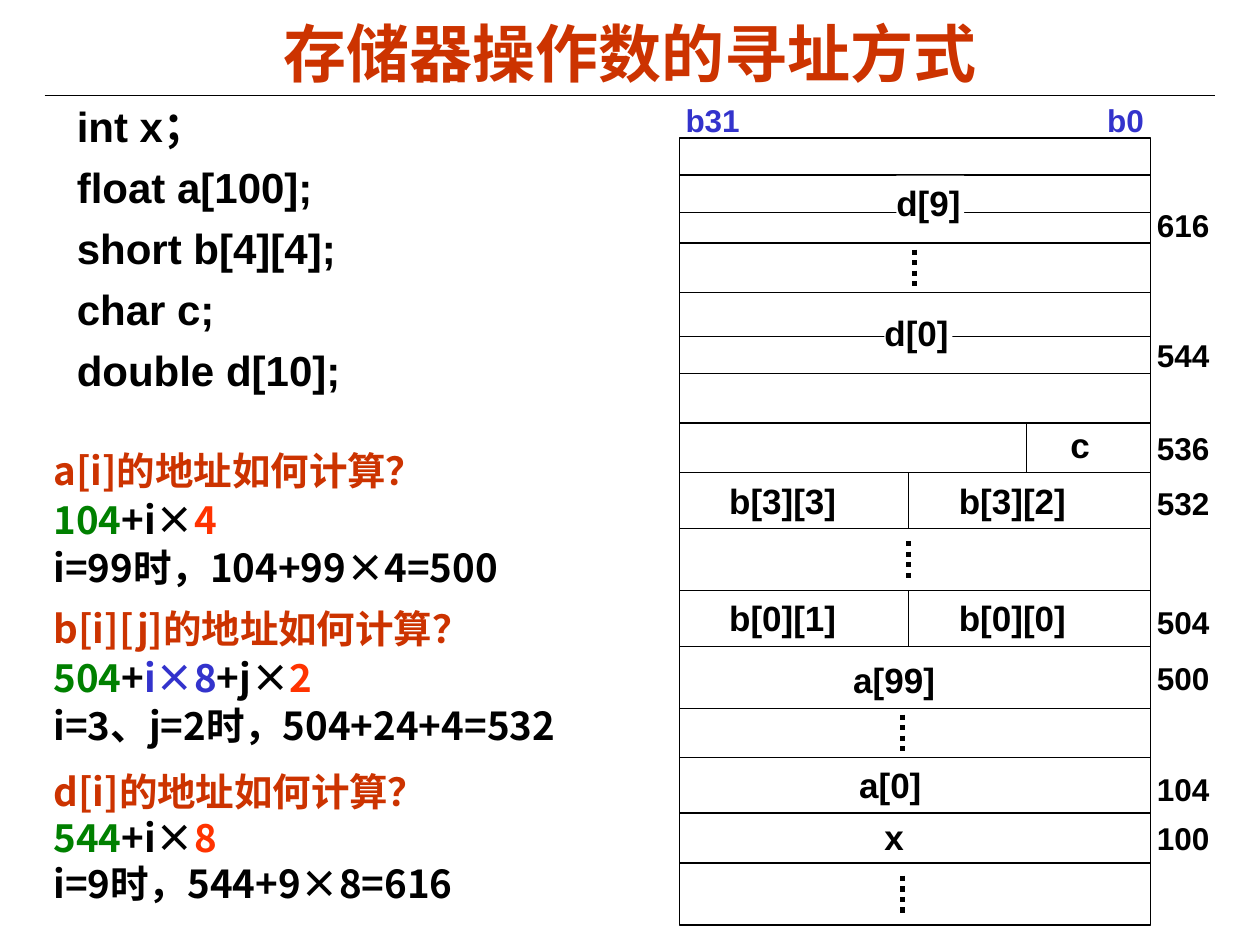
import pptx
import pptx.util
import pptx.dml.color
import pptx.enum.dml
import pptx.enum.shapes
import pptx.enum.text
import pptx.oxml.ns
from lxml import etree

Cm = pptx.util.Cm
Pt = pptx.util.Pt
RGB = pptx.dml.color.RGBColor
MID = pptx.enum.text.MSO_ANCHOR.MIDDLE
TOP = pptx.enum.text.MSO_ANCHOR.TOP
CENTER = pptx.enum.text.PP_ALIGN.CENTER
LEFT = pptx.enum.text.PP_ALIGN.LEFT
RECT = pptx.enum.shapes.MSO_SHAPE.RECTANGLE
LINE = pptx.enum.shapes.MSO_CONNECTOR.STRAIGHT
DOTS = pptx.enum.dml.MSO_LINE.ROUND_DOT

BLACK = RGB(0x00, 0x00, 0x00)
WHITE = RGB(0xFF, 0xFF, 0xFF)
RUST = RGB(0xCC, 0x33, 0x00)
GREEN = RGB(0x00, 0x80, 0x00)
RED = RGB(0xFF, 0x33, 0x00)
BLUE = RGB(0x33, 0x33, 0xCC)
ARIAL = "Arial"
NOTO = "Noto Sans CJK SC"

# Content: each paragraph is (space before, [(text, colour), ...])
TITLE = [(0, [("存储器操作数的寻址方式", RUST)])]
DECLS = ["int x；", "float a[100];", "short b[4][4];", "char c;", "double d[10];"]
SUMS = [
    (0, [("a[i]的地址如何计算？", RUST)]),
    (1.4, [("104", GREEN), ("+i×", BLACK), ("4", RED)]),
    (1.4, [("i=99时，104+99×4=500", BLACK)]),
    (8.2, [("b[i][j]的地址如何计算？", RUST)]),
    (1.4, [("504", GREEN), ("+", BLACK), ("i×8", BLUE), ("+j×", BLACK), ("2", RED)]),
    (1.4, [("i=3、j=2时，504+24+4=532", BLACK)]),
    (11, [("d[i]的地址如何计算？", RUST)]),
    (0, [("544", GREEN), ("+i×", BLACK), ("8", RED)]),
    (0, [("i=9时，544+9×8=616", BLACK)]),
]

# Memory map, in cm: row borders from top to bottom
ROWS = [2.78, 3.53, 4.28, 4.9, 5.9, 6.78, 7.53, 8.53, 9.53,
        10.65, 11.91, 13.03, 14.28, 15.27, 16.39, 17.4, 18.65]
WEST, EAST, HALF, BYTE = 13.7, 23.19, 18.32, 20.7
SPLITS = [(7, BYTE), (8, HALF), (10, HALF)]                    # row, x
GAPS = [(3, 18.44), (9, HALF), (12, 18.19), (15, 18.19)]       # row, x
CELLS = [("c", 21.33, 8.41, 1.12),
         ("b[3][3]", 14.45, 9.54, 3.12), ("b[3][2]", 19.08, 9.54, 3.12),
         ("b[0][1]", 14.45, 11.91, 3.12), ("b[0][0]", 19.08, 11.91, 3.12),
         ("a[99]", 16.95, 13.16, 2.26), ("a[0]", 17.07, 15.27, 2.26),
         ("x", 17.58, 16.31, 1.12)]
PAIRS = [("d[9]", 18.07, 3.54), ("d[0]", 17.83, 6.15)]
SPOTS = [("616", 4.03), ("544", 6.65), ("536", 8.53), ("532", 9.63),
         ("504", 12.03), ("500", 13.16), ("104", 15.39), ("100", 16.38)]
ENDS = [("b31", 13.57), ("b0", 22.07)]


def write(shape, paras, size, font=ARIAL, align=LEFT, anchor=TOP):
    frame = shape.text_frame
    frame.word_wrap = True
    frame.vertical_anchor = anchor
    for i, (gap, parts) in enumerate(paras):
        para = frame.add_paragraph() if i else frame.paragraphs[0]
        para.alignment = align
        para.space_before = Pt(gap)
        for text, color in parts:
            run = para.add_run()
            run.text = text
            run.font.size = Pt(size)
            run.font.bold = True
            run.font.name = font
            run.font.color.rgb = color
            east = etree.SubElement(run.font._element, pptx.oxml.ns.qn("a:ea"))
            east.set("typeface", NOTO)


def label(shapes, text, x, y, wide, size, color=BLACK):
    box = shapes.add_textbox(Cm(x), Cm(y), Cm(wide), Cm(1.1))
    write(box, [(0, [(text, color)])], size)


def rule(shapes, x1, y1, x2, y2, width=0.75, dash=None):
    line = shapes.add_connector(LINE, Cm(x1), Cm(y1), Cm(x2), Cm(y2))
    line.line.color.rgb = BLACK
    line.line.width = Pt(width)
    if dash:
        line.line.dash_style = dash
    etree.SubElement(line._element.spPr, pptx.oxml.ns.qn("a:effectLst"))


def block(shapes, x, y, wide, high):
    rect = shapes.add_shape(RECT, Cm(x), Cm(y), Cm(wide), Cm(high))
    rect.shadow.inherit = False
    rect.fill.solid()
    rect.fill.fore_color.rgb = WHITE
    return rect


deck = pptx.Presentation()
deck.slide_width, deck.slide_height = Cm(25.4), Cm(19.05)
slide = deck.slides.add_slide(deck.slide_layouts[6])
page = slide.shapes

# Title and its rule
rule(page, 0.9, 1.93, 24.5, 1.93)
head = page.add_textbox(Cm(1.27), Cm(0.28), Cm(22.86), Cm(1.55))
write(head, TITLE, 36, align=CENTER, anchor=MID)

# Declarations and address sums
decl = page.add_textbox(Cm(1.3), Cm(1.9), Cm(8.64), Cm(6.32))
write(decl, [(6 if i else 0, [(t, BLACK)]) for i, t in enumerate(DECLS)], 24)
sums = page.add_textbox(Cm(0.83), Cm(8.89), Cm(11.89), Cm(9.53))
write(sums, SUMS, 22, font=NOTO)

# Memory map: frame, rows, splits and dotted gaps
memo = page.add_group_shape().shapes
frame = block(memo, WEST, ROWS[0], EAST - WEST, ROWS[-1] - ROWS[0])
frame.line.color.rgb = BLACK
frame.line.width = Pt(0.75)
for y in ROWS[1:-1]:
    rule(memo, WEST, y, EAST, y)
for row, x in SPLITS:
    rule(memo, x, ROWS[row], x, ROWS[row + 1])
for row, x in GAPS:
    mid = (ROWS[row] + ROWS[row + 1]) / 2
    rule(memo, x, mid - 0.37, x, mid + 0.37, 3, DOTS)

# Labels: bit ends, cells, two-row values, addresses
for text, x in ENDS:
    label(memo, text, x, 1.92, 1.8, 18, BLUE)
for text, x, y, wide in CELLS:
    label(memo, text, x, y, wide, 20)
for text, x, y in PAIRS:
    pair = block(memo, x, y, 1.37, 1.11)
    pair.line.fill.background()
    pair.text_frame.margin_left = pair.text_frame.margin_right = 0
    write(pair, [(0, [(text, BLACK)])], 20)
for text, y in SPOTS:
    label(memo, text, 23.07, y, 1.63, 18)

deck.save("out.pptx")
